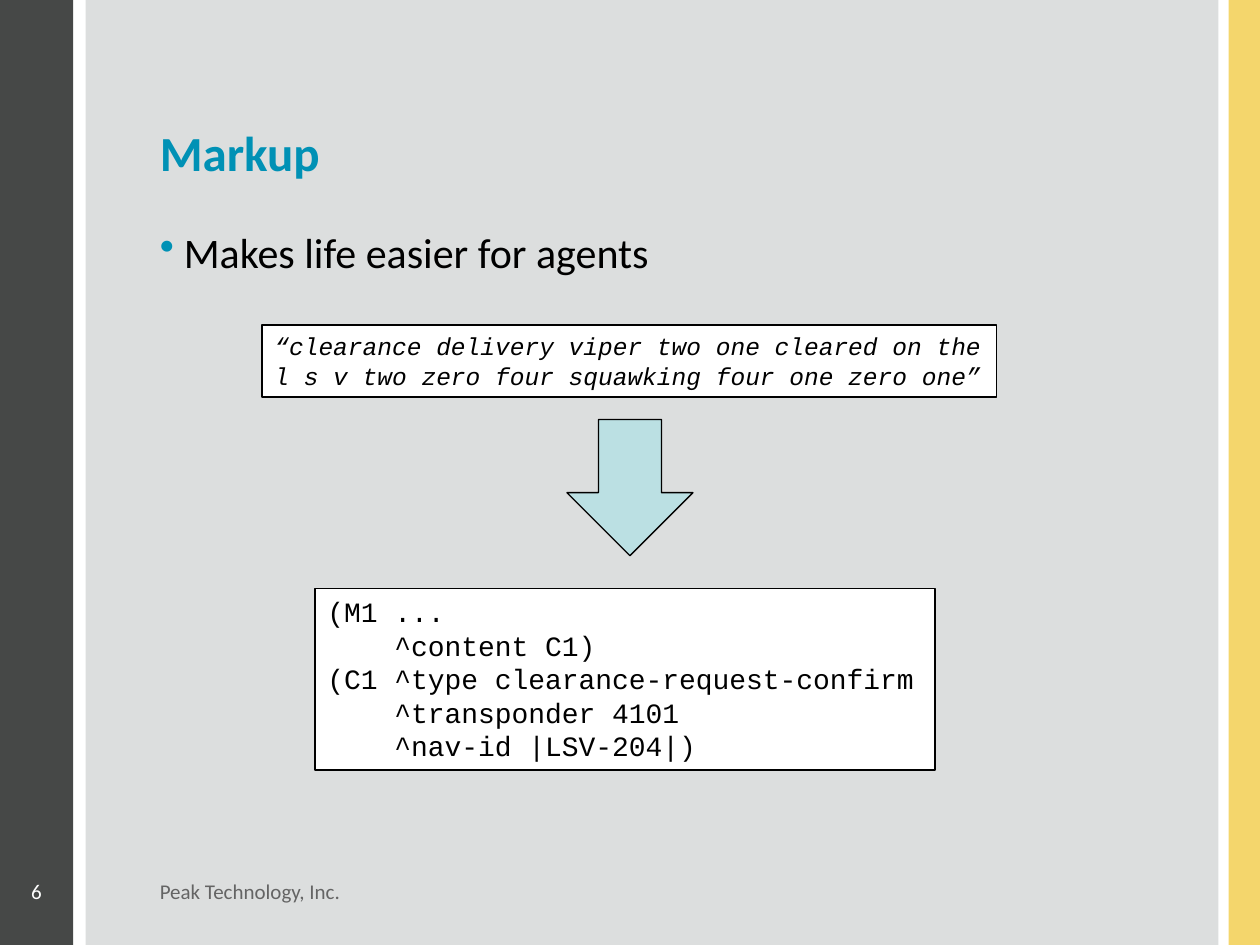
from dataclasses import dataclass

from lxml.etree import SubElement
from pptx import Presentation
from pptx.dml.color import RGBColor
from pptx.enum.shapes import MSO_SHAPE
from pptx.enum.text import MSO_ANCHOR, PP_ALIGN
from pptx.oxml.ns import qn
from pptx.util import Inches, Pt


@dataclass(frozen=True)
class Theme:
    sans: str = "Calibri"
    mono: str = "Courier New"
    accent: str = "0091B5"
    dark: str = "464847"
    gold: str = "F4D66C"
    panel: str = "DCDEDE"
    arrow: str = "BBE0E3"
    muted: str = "646464"
    black: str = "000000"
    white: str = "FFFFFF"
    title: int = 28
    body: int = 24
    code: int = 16
    quote: int = 14
    small: int = 12


class Deck:
    def __init__(self, theme):
        self.theme = theme
        self.prs = Presentation()
        self.prs.slide_width = Inches(10)
        self.prs.slide_height = Inches(7.5)
        self.slide = self.prs.slides.add_slide(self.prs.slide_layouts[6])

    def shape(self, box, fill, kind=MSO_SHAPE.RECTANGLE, line=None):
        """Add a filled shape; line is the outline width in points."""
        shape = self.slide.shapes.add_shape(kind, *map(Inches, box))
        shape.shadow.inherit = False
        shape.fill.solid()
        shape.fill.fore_color.rgb = RGBColor.from_string(fill)
        if line:
            shape.line.color.rgb = RGBColor.from_string(self.theme.black)
            shape.line.width = Pt(line)
        else:
            shape.line.fill.background()
        return shape

    def set_text(self, frame, text, size, color, font, align=PP_ALIGN.LEFT,
                 bold=False, italic=False):
        frame.word_wrap = True
        frame.vertical_anchor = MSO_ANCHOR.TOP
        frame.text = text
        for para in frame.paragraphs:
            para.alignment = align
            for run in para.runs:
                run.font.name = font
                run.font.size = Pt(size)
                run.font.bold = bold
                run.font.italic = italic
                run.font.color.rgb = RGBColor.from_string(color)

    def text(self, box, text, size, color, **style):
        frame = self.slide.shapes.add_textbox(*map(Inches, box)).text_frame
        self.set_text(frame, text, size, color, self.theme.sans, **style)
        return frame

    def bullet(self, box, text):
        frame = self.text(box, text, self.theme.body, self.theme.black)
        for para in frame.paragraphs:
            props = para._p.get_or_add_pPr()
            props.set("marL", str(Inches(0.19)))
            props.set("indent", str(Inches(-0.19)))
            color = SubElement(props, qn("a:buClr"))
            SubElement(color, qn("a:srgbClr"), val=self.theme.accent)
            SubElement(props, qn("a:buChar"), char="•")

    def panel(self, box, text, size, italic=False):
        """Add a white outlined box of monospaced text."""
        shape = self.shape(box, self.theme.white, line=1)
        self.set_text(shape.text_frame, text, size, self.theme.black,
                      self.theme.mono, italic=italic)

    def save(self):
        self.prs.save("out.pptx")


CODE = """(M1 ...
    ^content C1)
(C1 ^type clearance-request-confirm
    ^transponder 4101
    ^nav-id |LSV-204|)"""

QUOTE = ("“clearance delivery viper two one cleared on the "
         "l s v two zero four squawking four one zero one”")


def main():
    theme = Theme()
    deck = Deck(theme)
    for left, width, fill in ((0, 0.58, theme.dark),
                              (9.75, 0.25, theme.gold),
                              (0.68, 8.99, theme.panel)):
        deck.shape((left, 0, width, 7.5), fill)

    deck.text((1.17, 0.92, 8.08, 0.67), "Markup", theme.title, theme.accent,
              bold=True)
    deck.bullet((1.17, 1.75, 8.25, 2.5), "Makes life easier for agents")
    deck.text((1.17, 6.92, 6.58, 0.33), "Peak Technology, Inc.",
              theme.small, theme.muted)
    deck.text((0, 6.92, 0.58, 0.33), "6", theme.small, theme.white,
              align=PP_ALIGN.CENTER)

    deck.panel((2.5, 4.67, 4.92, 1.44), CODE, theme.code)
    deck.panel((2.08, 2.58, 5.83, 0.57), QUOTE, theme.quote, italic=True)
    deck.shape((4.5, 3.33, 1, 1.08), theme.arrow, MSO_SHAPE.DOWN_ARROW, 0.75)
    deck.save()


if __name__ == "__main__":
    main()
